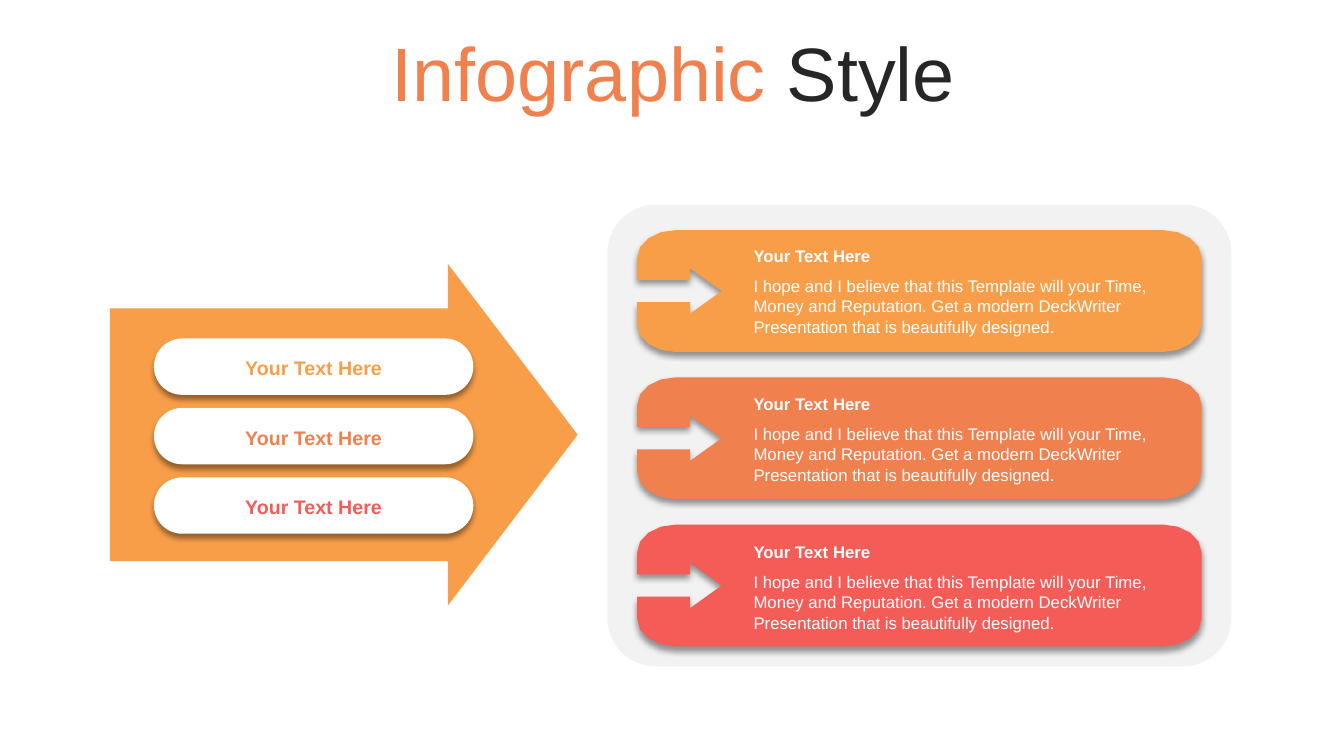
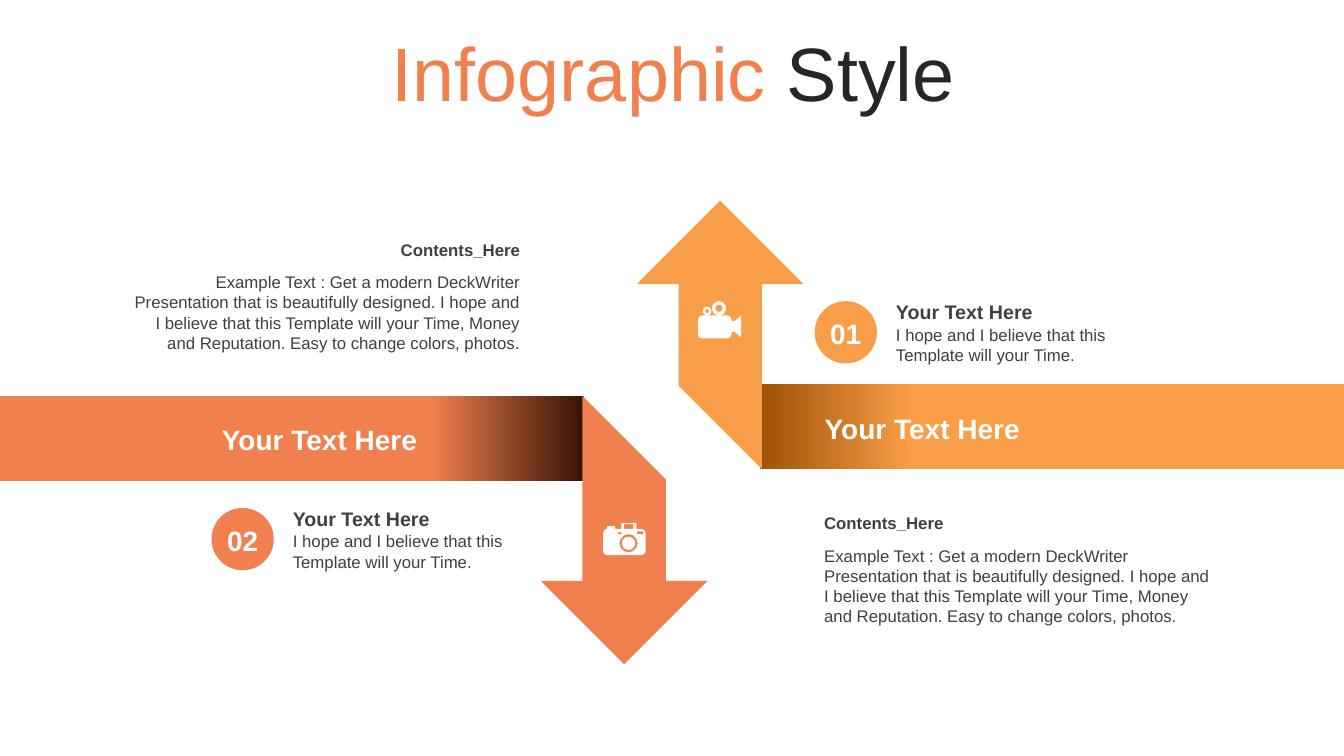
import copy
import math
from dataclasses import dataclass

import pptx
import pptx.dml.color
import pptx.enum.shapes
import pptx.enum.text
import pptx.oxml.ns
import pptx.util
from lxml import etree

Cm, Pt = pptx.util.Cm, pptx.util.Pt
RGB = pptx.dml.color.RGBColor
SHAPE = pptx.enum.shapes.MSO_SHAPE
ALIGN = pptx.enum.text.PP_ALIGN
ANCHOR = pptx.enum.text.MSO_ANCHOR
AUTO_SIZE = pptx.enum.text.MSO_AUTO_SIZE
qn = pptx.oxml.ns.qn

Points = list[tuple[float, float]]


@dataclass(frozen=True)
class Theme:
    font: str = "Arial"
    amber: RGB = RGB(0xF8, 0x9E, 0x48)
    orange: RGB = RGB(0xF0, 0x80, 0x4E)
    red: RGB = RGB(0xF4, 0x5C, 0x58)
    amber_dark: RGB = RGB(0xA0, 0x51, 0x06)
    orange_dark: RGB = RGB(0x35, 0x13, 0x04)
    white: RGB = RGB(0xFF, 0xFF, 0xFF)
    pale: RGB = RGB(0xF2, 0xF2, 0xF2)
    ink: RGB = RGB(0x26, 0x26, 0x26)
    grey: RGB = RGB(0x40, 0x40, 0x40)
    title: int = 54
    large: int = 20
    medium: int = 14
    small: int = 12


@dataclass(frozen=True)
class Entry:
    """A bold heading with a paragraph set `drop` cm below it."""
    x: float
    y: float
    w: float
    heading: str
    body: str
    drop: float
    color: RGB
    heading_size: int
    align: ALIGN = ALIGN.LEFT


@dataclass(frozen=True)
class Band:
    x: float
    y: float
    color: RGB
    dark: RGB
    angle: int
    indent: float


@dataclass(frozen=True)
class Badge:
    x: float
    y: float
    number: str
    color: RGB


T = Theme()
LABEL = "Your Text Here"
CARD_BODY = ("I hope and I believe that this Template will your Time, Money and Reputation. "
             "Get a modern DeckWriter Presentation that is beautifully designed.")
BADGE_BODY = "I hope and I believe that this Template will your Time."
EXAMPLE_HEADING = "Contents_Here"
EXAMPLE_BODY = ("Example Text : Get a modern DeckWriter Presentation that is beautifully designed. "
                "I hope and I believe that this Template will your Time, Money and Reputation. "
                "Easy to change colors, photos.")


def write(tf, text: str, size: int, color: RGB, bold: bool = False, align=ALIGN.LEFT) -> None:
    tf.word_wrap = True
    tf.text = text
    p = tf.paragraphs[0]
    p.alignment = align
    f = p.runs[0].font
    f.name, f.size, f.bold = T.font, Pt(size), bold
    f.color.rgb = color


def add_text(s, x: float, y: float, w: float, h: float, text: str, size: int,
             color: RGB, bold: bool = False, align=ALIGN.LEFT) -> None:
    tf = s.shapes.add_textbox(Cm(x), Cm(y), Cm(w), Cm(h)).text_frame
    write(tf, text, size, color, bold, align)
    tf.auto_size = AUTO_SIZE.SHAPE_TO_FIT_TEXT


def add_entry(s, e: Entry) -> None:
    add_text(s, e.x, e.y, e.w, 0.8, e.heading, e.heading_size, e.color, True, e.align)
    add_text(s, e.x, e.y + e.drop, e.w, 1.3, e.body, T.small, e.color, align=e.align)


def paint(sp, color: RGB, shadow: bool = False) -> None:
    sp.fill.solid()
    sp.fill.fore_color.rgb = color
    sp.line.fill.background()
    sp.shadow.inherit = False
    if shadow:
        effects = sp.element.spPr.find(qn("a:effectLst"))
        outer = etree.SubElement(effects, qn("a:outerShdw"), blurRad=str(Pt(4)), dist=str(Pt(3)),
                                 dir="5400000", algn="t", rotWithShape="0")
        black = etree.SubElement(outer, qn("a:srgbClr"), val="000000")
        etree.SubElement(black, qn("a:alpha"), val="40000")


def add_preset(s, kind, x: float, y: float, w: float, h: float, color: RGB,
               adjust: tuple[float, ...] = (), shadow: bool = False):
    sp = s.shapes.add_shape(kind, Cm(x), Cm(y), Cm(w), Cm(h))
    for i, value in enumerate(adjust):
        sp.adjustments[i] = value
    paint(sp, color, shadow)
    return sp


def add_outline(s, x: float, y: float, contours: list[Points], color: RGB,
                shadow: bool = False) -> None:
    """Draw contours given in cm from (x, y); a contour inside another is a hole."""
    builder = None
    for contour in contours:
        pts = [(Cm(x + px), Cm(y + py)) for px, py in contour]
        if builder is None:
            builder = s.shapes.build_freeform(*pts[0])
        else:
            builder.move_to(*pts[0])
        builder.add_line_segments(pts[1:], close=True)
    paint(builder.convert_to_shape(), color, shadow)


def arc(cx: float, cy: float, rx: float, ry: float, start: int, steps: int) -> Points:
    """A clockwise quarter of an ellipse."""
    angles = [math.radians(start + 90 * i / steps) for i in range(steps + 1)]
    return [(cx + rx * math.cos(a), cy + ry * math.sin(a)) for a in angles]


def circle(cx: float, cy: float, r: float) -> Points:
    return [pt for start in (0, 90, 180, 270) for pt in arc(cx, cy, r, r, start, 3)[:-1]]


def box(x: float, y: float, w: float, h: float) -> Points:
    return [(x, y), (x + w, y), (x + w, y + h), (x, y + h)]


def rounded(x: float, y: float, w: float, h: float, rx: float, ry: float, steps: int) -> Points:
    """Clockwise from the left edge of the top left corner to that of the bottom left one."""
    left, right, top, bottom = x + rx, x + w - rx, y + ry, y + h - ry
    return (arc(left, top, rx, ry, 180, steps) + arc(right, top, rx, ry, 270, steps)
            + arc(right, bottom, rx, ry, 0, steps) + arc(left, bottom, rx, ry, 90, steps))


def notched_card(w: float, h: float) -> Points:
    """A rounded card with an arrow cut into its left side."""
    mid, shaft, head = h / 2, 0.28, 0.57
    notch = [(0, mid + shaft), (1.33, mid + shaft), (1.33, mid + head), (2.13, mid),
             (1.33, mid - head), (1.33, mid - shaft), (0, mid - shaft)]
    return rounded(0, 0, w, h, 0.97, 0.69, 4) + notch


def add_titled_slide(prs):
    s = prs.slides.add_slide(prs.slide_layouts.get_by_name("Title Only"))
    sp = s.shapes.title
    sp.left, sp.top, sp.width, sp.height = Cm(0.89), Cm(0.94), Cm(32.16), Cm(2.01)
    tf = sp.text_frame
    write(tf, "Infographic", T.title, T.orange, align=ALIGN.CENTER)
    tf.auto_size = AUTO_SIZE.NONE
    tf.vertical_anchor = ANCHOR.MIDDLE
    p = tf.paragraphs[0]
    p.line_spacing = 0.9
    r = p.add_run()
    r.text = " Style"
    r.font.name, r.font.size = T.font, Pt(T.title)
    r.font.color.rgb = T.ink
    return s


def add_band(s, b: Band) -> None:
    sp = add_preset(s, SHAPE.RECTANGLE, b.x, b.y, 14.71, 2.13, b.color)
    sp.fill.gradient()
    sp.fill.gradient_angle = b.angle
    for stop, position, color in zip(sp.fill.gradient_stops, (0, 0.26), (b.dark, b.color)):
        stop.position = position
        stop.color.rgb = color
    stops = sp.element.spPr.find(qn("a:gradFill")).find(qn("a:gsLst"))
    stops.append(copy.deepcopy(stops[-1]))
    stops[-1].set("pos", "100000")
    tf = sp.text_frame
    write(tf, LABEL, T.large, T.white, True)
    tf.margin_left, tf.margin_top = Cm(b.indent), Cm(0.2)
    tf.vertical_anchor = ANCHOR.MIDDLE


def add_badge(s, b: Badge) -> None:
    sp = add_preset(s, SHAPE.OVAL, b.x, b.y, 1.57, 1.57, b.color)
    tf = sp.text_frame
    write(tf, b.number, T.large, T.white, True, ALIGN.CENTER)
    tf.margin_left = tf.margin_right = tf.margin_bottom = 0
    tf.margin_top = Cm(0.05)
    add_entry(s, Entry(b.x + 1.8, b.y - 0.15, 6.4, LABEL, BADGE_BODY, 0.61, T.grey, T.medium))


def build_arrow_slide(prs) -> None:
    s = add_titled_slide(prs)
    add_preset(s, SHAPE.RIGHT_ARROW, 2.77, 6.65, 11.79, 8.61, T.amber, (0.74, 0.38))
    add_preset(s, SHAPE.ROUNDED_RECTANGLE, 15.31, 5.16, 15.72, 11.63, T.pale, (0.104,))
    for i, color in enumerate((T.amber, T.orange, T.red)):
        add_outline(s, 16.06, 5.8 + i * 3.71, [notched_card(14.22, 3.07)], color, shadow=True)
        add_entry(s, Entry(18.74, 6.06 + i * 3.73, 10.74, LABEL, CARD_BODY, 0.77,
                           T.white, T.small))
        pill = add_preset(s, SHAPE.ROUNDED_RECTANGLE, 3.88, 8.53 + i * 1.75, 8.05, 1.42,
                          T.white, (0.5,), shadow=True)
        write(pill.text_frame, LABEL, T.medium, color, True, ALIGN.CENTER)
        pill.text_frame.margin_top = Cm(0.2)


def build_ribbon_slide(prs) -> None:
    s = add_titled_slide(prs)
    add_band(s, Band(0, 9.98, T.orange, T.orange_dark, 180, 5.59))
    add_band(s, Band(19.15, 9.68, T.amber, T.amber_dark, 0, 1.63))

    up = [(2.1, 0), (4.2, 2.1), (3.15, 2.1), (3.15, 6.76), (1.05, 4.66), (1.05, 2.1), (0, 2.1)]
    down = [(4.2 - x, 6.76 - y) for x, y in up]
    add_outline(s, 16.05, 5.06, [up], T.amber)
    add_outline(s, 13.63, 9.98, [down], T.orange)

    add_badge(s, Badge(20.53, 7.59, "01", T.amber))
    add_badge(s, Badge(5.33, 12.8, "02", T.orange))
    for x, y, w, align in ((20.52, 12.8, 10.44, ALIGN.LEFT), (3.09, 5.91, 10.27, ALIGN.RIGHT)):
        add_entry(s, Entry(x, y, w, EXAMPLE_HEADING, EXAMPLE_BODY, 0.82, T.grey, T.small, align))

    photo_camera = [
        rounded(0, 0.15, 1.07, 0.66, 0.1, 0.1, 2),
        box(0.1, 0.08, 0.2, 0.07), box(0.46, 0, 0.38, 0.15), box(0.53, 0.03, 0.23, 0.12),
        box(0.38, 0.23, 0.08, 0.05), box(0.86, 0.21, 0.15, 0.07),
        circle(0.64, 0.51, 0.23), circle(0.64, 0.51, 0.17),
    ]
    film_camera = [
        rounded(0, 0.36, 0.84, 0.58, 0.1, 0.1, 2),
        circle(0.53, 0.18, 0.18), circle(0.53, 0.18, 0.09),
        circle(0.23, 0.25, 0.11), circle(0.23, 0.25, 0.05),
        [(0.84, 0.48), (0.91, 0.51), (1.09, 0.36), (1.09, 0.91), (0.91, 0.76), (0.84, 0.79)],
    ]
    add_outline(s, 15.2, 13.18, photo_camera, T.white)
    add_outline(s, 17.59, 7.59, film_camera, T.white)


def main() -> None:
    prs = pptx.Presentation()
    prs.slide_width, prs.slide_height = Cm(33.87), Cm(19.05)
    build_arrow_slide(prs)
    build_ribbon_slide(prs)
    prs.save("out.pptx")


if __name__ == "__main__":
    main()
